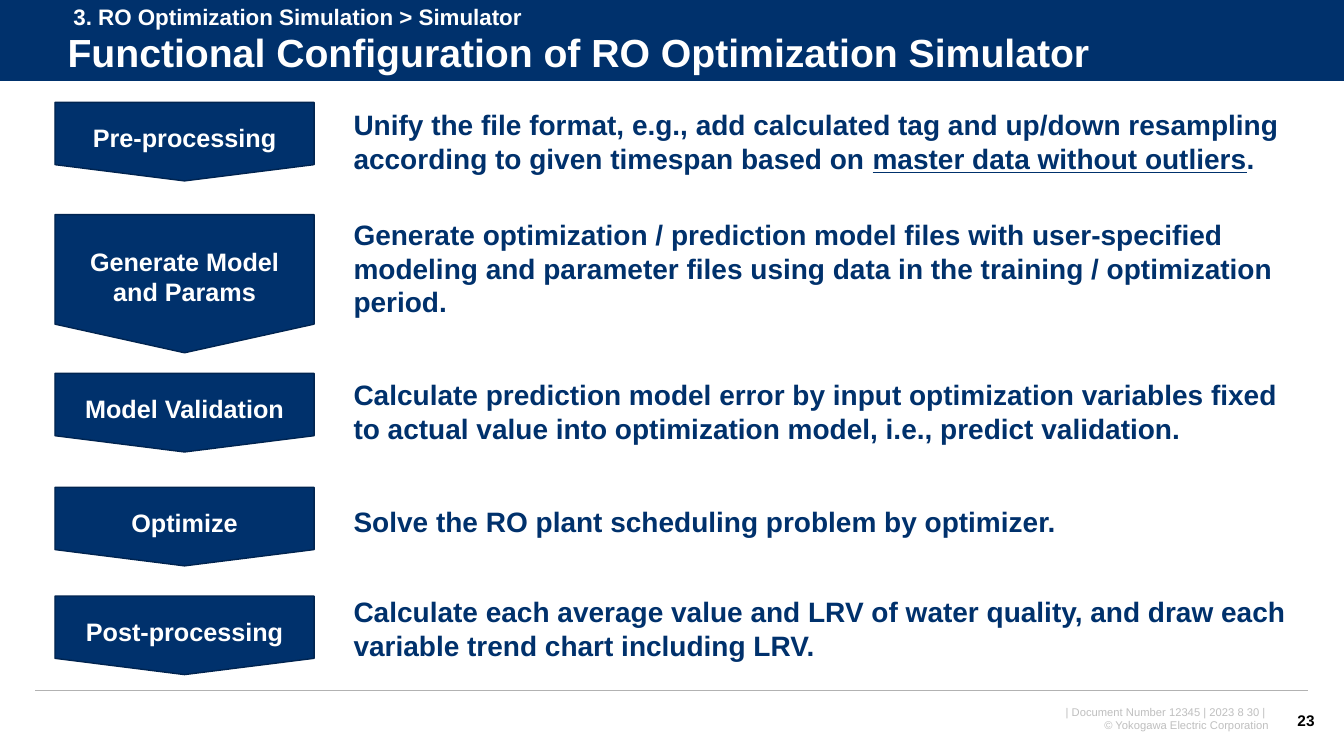
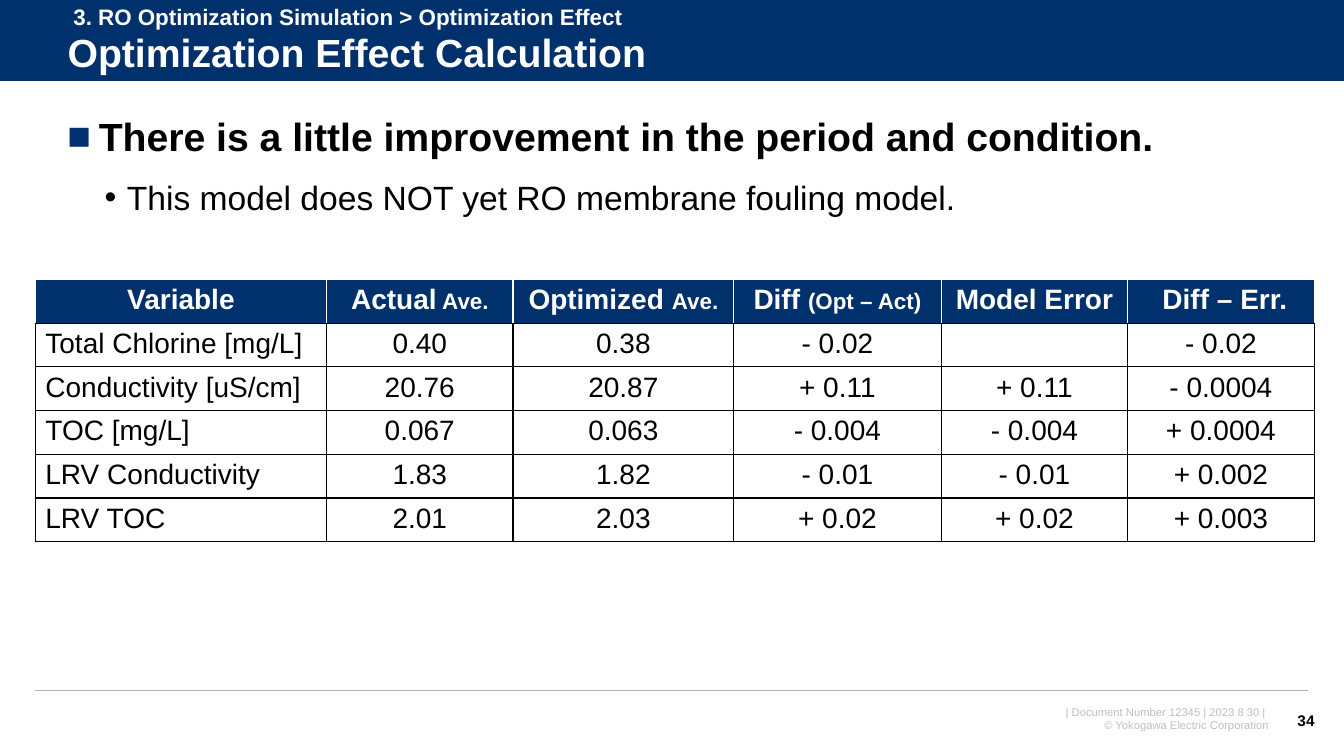
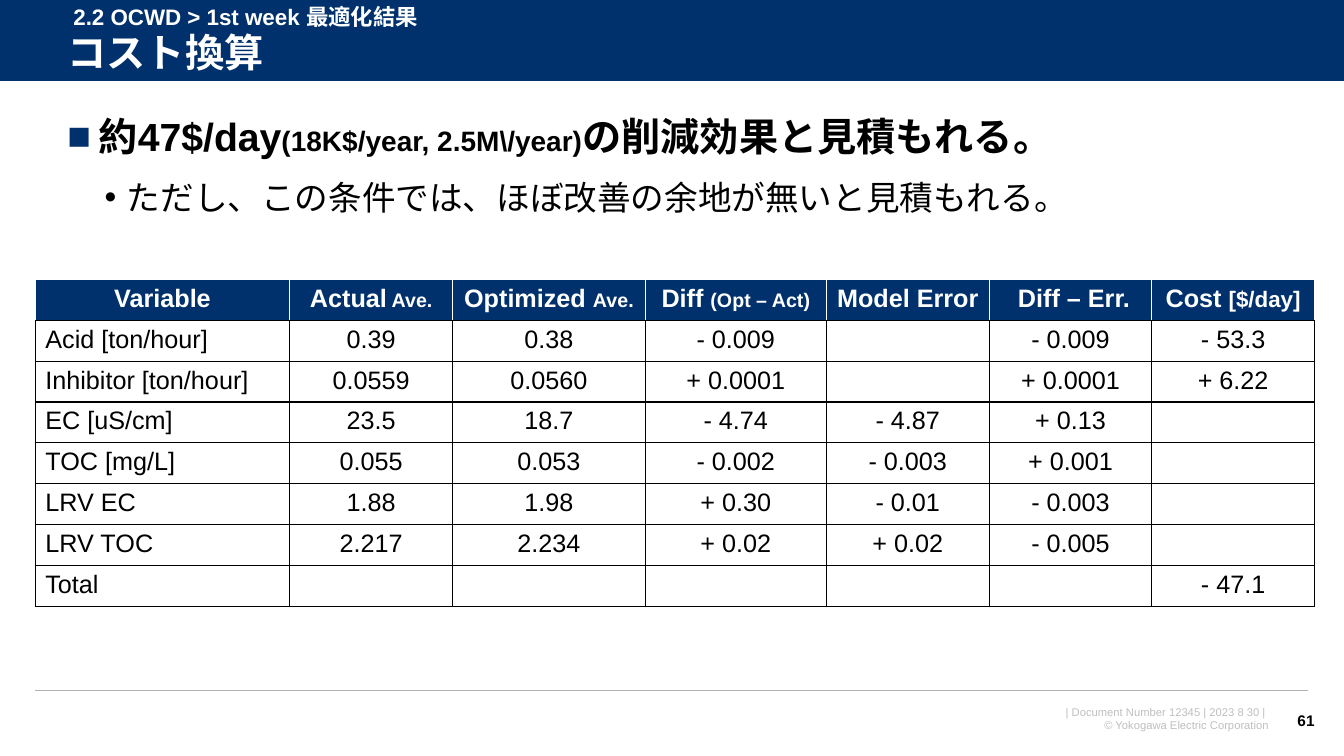
"""Builds three slides on the RO optimization simulator and its effect."""
from dataclasses import dataclass
from typing import Optional, Sequence, Union

from lxml import etree
from pptx import Presentation
from pptx.dml.color import RGBColor
from pptx.enum import shapes, text
from pptx.oxml import ns
from pptx.util import Cm, Pt

NAVY, NAVY_EDGE = "00316C", "002450"
WHITE, BLACK = "FFFFFF", "000000"
RULE_GRAY, FOOTER_GRAY = "B2B2B2", "BFBFBF"
FONT = "Arial"
WIDTH, HEIGHT = 33.87, 19.05
BAND_HEIGHT = 2.06
LEFT, CENTER, RIGHT = text.PP_ALIGN.LEFT, text.PP_ALIGN.CENTER, text.PP_ALIGN.RIGHT


@dataclass(frozen=True)
class Piece:
    """A stretch of text that may differ in size or underline."""
    words: str
    size: Optional[float] = None
    underline: bool = False


Wording = Union[str, Sequence[Piece]]


@dataclass(frozen=True)
class Style:
    """The look of a paragraph."""
    size: float
    color: str = BLACK
    bold: bool = False
    align: text.PP_ALIGN = LEFT


@dataclass(frozen=True)
class Box:
    """A place on the slide in centimetres."""
    left: float
    top: float
    width: float
    height: float

    def lengths(self) -> tuple:
        """Return the four lengths in the order python-pptx takes them."""
        return Cm(self.left), Cm(self.top), Cm(self.width), Cm(self.height)


@dataclass(frozen=True)
class Heading:
    """The band texts and page number of a slide."""
    trail: str
    title: str
    page: int


@dataclass(frozen=True)
class Step:
    """One stage of the simulator with its explanation."""
    label: str
    middle: float
    thickness: float
    detail: Wording
    detail_top: float
    detail_height: float


@dataclass(frozen=True)
class Bullet:
    """A bullet level."""
    mark: str
    indent: float
    hanging: float
    style: Style
    color: str = BLACK
    line_spacing: float = 1.0
    space_before: float = 0


@dataclass(frozen=True)
class Results:
    """A table of results."""
    size: float
    row_height: float
    widths: Sequence[float]
    header: Sequence[Wording]
    rows: Sequence[Sequence[str]]


CLAIM = Bullet("■", 0.79, 0.79, Style(28, bold=True), NAVY, 0.9)
REMARK = Bullet("•", 1.5, 0.56, Style(24), space_before=12)
TITLE_STYLE = Style(28, WHITE, True)
TRAIL_STYLE = Style(16, WHITE, True)
PAGE_STYLE = Style(11, BLACK, True, RIGHT)
FOOTER_STYLE = Style(8, FOOTER_GRAY, align=RIGHT)
STEP_STYLE = Style(18, WHITE, True, CENTER)
DETAIL_STYLE = Style(20, NAVY, True)

STEPS = (
    Step("Pre-processing", 3.57, 1.98, (
        Piece("Unify the file format, e.g., add calculated tag and up/down resampling "
              "according to given timespan based on "),
        Piece("master data without outliers", underline=True),
        Piece(".")), 2.59, 1.96),
    Step("Generate Model and Params", 7.15, 3.48,
         "Generate optimization / prediction model files with user-specified modeling and "
         "parameter files using data in the training / optimization period.", 5.36, 2.82),
    Step("Model Validation", 10.4, 1.98,
         "Calculate prediction model error by input optimization variables fixed to actual "
         "value into optimization model, i.e., predict validation.", 9.4, 1.96),
    Step("Optimize", 13.27, 1.98,
         "Solve the RO plant scheduling problem by optimizer.", 12.6, 1.12),
    Step("Post-processing", 16.01, 1.98,
         "Calculate each average value and LRV of water quality, and draw each variable "
         "trend chart including LRV.", 14.86, 1.96),
)


def common_header(small: float) -> tuple:
    """Return the column heads both tables share."""
    return (
        "Variable",
        (Piece("Actual"), Piece(" Ave.", small)),
        (Piece("Optimized "), Piece("Ave.", small)),
        (Piece("Diff "), Piece("(Opt – Act)", small)),
        "Model Error",
        " Diff – Err.",
    )


EFFECT = Results(
    20, 1.1, (7.34, 4.7, 5.56, 5.23, 4.7, 4.7), common_header(16), (
        ("Total Chlorine [mg/L]", "0.40", "0.38", "- 0.02", "", "- 0.02"),
        ("Conductivity [uS/cm]", "20.76", "20.87", "+ 0.11", "+ 0.11", "- 0.0004"),
        ("TOC [mg/L]", "0.067", "0.063", "- 0.004", "- 0.004", "+ 0.0004"),
        ("LRV Conductivity", "1.83", "1.82", "- 0.01", "- 0.01", "+ 0.002"),
        ("LRV TOC", "2.01", "2.03", "+ 0.02", "+ 0.02", "+ 0.003"),
    ))

COST = Results(
    18, 1.03, (6.41, 4.11, 4.85, 4.57, 4.1, 4.1, 4.1),
    common_header(14) + ((Piece("Cost "), Piece("[$/day]", 16)),), (
        ("Acid [ton/hour]", "0.39", "0.38", "- 0.009", "", "- 0.009", "- 53.3"),
        ("Inhibitor [ton/hour]", "0.0559", "0.0560", "+ 0.0001", "", "+ 0.0001", "+ 6.22"),
        ("EC [uS/cm]", "23.5", "18.7", "- 4.74", "- 4.87", "+ 0.13", ""),
        ("TOC [mg/L]", "0.055", "0.053", "- 0.002", "- 0.003", "+ 0.001", ""),
        ("LRV EC", "1.88", "1.98", "+ 0.30", "- 0.01", "- 0.003", ""),
        ("LRV TOC", "2.217", "2.234", "+ 0.02", "+ 0.02", "- 0.005", ""),
        ("Total", "", "", "", "", "", "- 47.1"),
    ))


def rgb(color: str) -> RGBColor:
    """Turn a hex string into a colour."""
    return RGBColor.from_string(color)


def write(paragraph, wording: Wording, style: Style) -> None:
    """Fill a paragraph and format its runs."""
    pieces = (Piece(wording),) if isinstance(wording, str) else wording
    paragraph.alignment = style.align
    paragraph.text = pieces[0].words
    for piece in pieces[1:]:
        paragraph.add_run().text = piece.words
    for run, piece in zip(paragraph.runs, pieces):
        font = run.font
        font.name = FONT
        font.size = Pt(piece.size or style.size)
        font.bold = style.bold
        font.color.rgb = rgb(style.color)
        if piece.underline:
            font.underline = True


def add_text(slide, box: Box, lines: Sequence[Wording], style: Style,
             anchor: text.MSO_ANCHOR = text.MSO_ANCHOR.TOP):
    """Add a wrapping text box with one paragraph per line."""
    area = slide.shapes.add_textbox(*box.lengths())
    frame = area.text_frame
    frame.word_wrap = True
    frame.vertical_anchor = anchor
    for index, line in enumerate(lines):
        write(frame.add_paragraph() if index else frame.paragraphs[0], line, style)
    return area


def add_rule(slide, left: float, right: float, top: float, color: str, weight: float):
    """Add a horizontal line without shadow."""
    rule = slide.shapes.add_connector(
        shapes.MSO_CONNECTOR.STRAIGHT, Cm(left), Cm(top), Cm(right), Cm(top))
    rule.line.color.rgb = rgb(color)
    rule.line.width = Pt(weight)
    etree.SubElement(rule.element.spPr, ns.qn("a:effectLst"))
    return rule


def add_solid(slide, kind: shapes.MSO_SHAPE, box: Box, fill: str):
    """Add a flat preset shape."""
    solid = slide.shapes.add_shape(kind, *box.lengths())
    solid.shadow.inherit = False
    solid.fill.solid()
    solid.fill.fore_color.rgb = rgb(fill)
    solid.line.fill.background()
    return solid


def furnish_layout(layout, slide) -> None:
    """Draw the band, rules and footer once and hand them to the layout."""
    furniture = (
        add_solid(slide, shapes.MSO_SHAPE.RECTANGLE, Box(0, 0, WIDTH, BAND_HEIGHT), NAVY),
        add_rule(slide, 0, WIDTH, BAND_HEIGHT, WHITE, 0.75),
        add_rule(slide, 0.89, 32.97, 17.4, RULE_GRAY, 1),
        add_text(slide, Box(24.08, 17.65, 8.15, 0.94),
                 ("| Document Number 12345 | 2023 8 30 | ", "© Yokogawa Electric Corporation"),
                 FOOTER_STYLE),
    )
    for part in furniture:
        layout.shapes.element.append(part.element)


def add_heading(slide, heading: Heading) -> None:
    """Set the title, the trail above it and the page number."""
    title = slide.shapes.title
    title.left, title.top, title.width, title.height = Box(1.45, 0.66, 31.67, 1.45).lengths()
    frame = title.text_frame
    frame.auto_size = text.MSO_AUTO_SIZE.NONE
    frame.vertical_anchor = text.MSO_ANCHOR.MIDDLE
    write(frame.paragraphs[0], heading.title, TITLE_STYLE)
    frame.paragraphs[0].line_spacing = 0.9
    add_text(slide, Box(1.6, -0.05, 18.3, 0.94), (heading.trail,), TRAIL_STYLE)
    add_text(slide, Box(32.26, 17.65, 1.12, 1.02), (str(heading.page),), PAGE_STYLE,
             text.MSO_ANCHOR.MIDDLE)


def add_step(slide, step: Step) -> None:
    """Add a downward pentagon and the explanation beside it."""
    center, length = 4.65, 6.53
    box = Box(center - step.thickness / 2, step.middle - length / 2, step.thickness, length)
    arrow = add_solid(slide, shapes.MSO_SHAPE.PENTAGON, box, NAVY)
    arrow.rotation = 90
    arrow.adjustments[0] = 0.207
    arrow.line.color.rgb = rgb(NAVY_EDGE)
    arrow.line.width = Pt(1)
    frame = arrow.text_frame
    frame.word_wrap = True
    frame.vertical_anchor = text.MSO_ANCHOR.MIDDLE
    frame._txBody.bodyPr.set("vert", "vert270")
    write(frame.paragraphs[0], step.label, STEP_STYLE)
    add_text(slide, Box(8.66, step.detail_top, 24.46, step.detail_height),
             (step.detail,), DETAIL_STYLE)


def set_bullet(paragraph, bullet: Bullet) -> None:
    """Give a paragraph its mark, indent and spacing."""
    properties = paragraph._p.get_or_add_pPr()
    properties.set("marL", str(Cm(bullet.indent)))
    properties.set("indent", str(-Cm(bullet.hanging)))
    tint = etree.SubElement(properties, ns.qn("a:buClr"))
    etree.SubElement(tint, ns.qn("a:srgbClr")).set("val", bullet.color)
    etree.SubElement(properties, ns.qn("a:buFont")).set("typeface", FONT)
    etree.SubElement(properties, ns.qn("a:buChar")).set("char", bullet.mark)
    paragraph.line_spacing = bullet.line_spacing
    if bullet.space_before:
        paragraph.space_before = Pt(bullet.space_before)


def add_message(slide, claim: Wording, remark: str) -> None:
    """Add the claim with its remark below."""
    area = add_text(slide, Box(1.45, 2.84, 31.93, 1.52), (claim, remark), CLAIM.style)
    first, second = area.text_frame.paragraphs
    set_bullet(first, CLAIM)
    second.level = 1
    set_bullet(second, REMARK)
    write(second, remark, REMARK.style)


def set_borders(cell, color: str) -> None:
    """Draw cell borders, keeping the bottom one black."""
    properties = cell._tc.get_or_add_tcPr()
    for side in ("lnL", "lnR", "lnT", "lnB"):
        border = etree.SubElement(properties, ns.qn(f"a:{side}"))
        border.set("w", str(Pt(1)))
        paint = etree.SubElement(border, ns.qn("a:solidFill"))
        etree.SubElement(paint, ns.qn("a:srgbClr")).set("val", BLACK if side == "lnB" else color)


def add_results(slide, results: Results) -> None:
    """Add a table with a navy header and white body."""
    lines = (results.header, *results.rows)
    box = Box(0.89, 7.04, sum(results.widths), results.row_height * len(lines))
    table = slide.shapes.add_table(len(lines), len(results.widths), *box.lengths()).table
    for column, width in zip(table.columns, results.widths):
        column.width = Cm(width)
    for row, line in enumerate(lines):
        table.rows[row].height = Cm(results.row_height)
        head = row == 0
        for column, wording in enumerate(line):
            cell = table.cell(row, column)
            set_borders(cell, WHITE if head else BLACK)
            cell.fill.solid()
            cell.fill.fore_color.rgb = rgb(NAVY if head else WHITE)
            if wording:
                align = CENTER if head or column else LEFT
                style = Style(results.size, WHITE if head else BLACK, head, align)
                write(cell.text_frame.paragraphs[0], wording, style)


def main() -> None:
    """Build and save the slides."""
    deck = Presentation()
    deck.slide_width, deck.slide_height = Cm(WIDTH), Cm(HEIGHT)
    layout = deck.slide_layouts[5]
    functions, effect, cost = (deck.slides.add_slide(layout) for _ in range(3))
    furnish_layout(layout, functions)

    add_heading(functions, Heading("3. RO Optimization Simulation > Simulator",
                                   "Functional Configuration of RO Optimization Simulator", 23))
    for step in STEPS:
        add_step(functions, step)

    add_heading(effect, Heading("3. RO Optimization Simulation > Optimization Effect",
                                "Optimization Effect Calculation", 34))
    add_message(effect, "There is a little improvement in the period and condition.",
                "This model does NOT yet RO membrane fouling model.")
    add_results(effect, EFFECT)

    add_heading(cost, Heading("2.2 OCWD > 1st week 最適化結果", "コスト換算", 61))
    add_message(cost, (Piece("約47$/day"), Piece("(18K$/year, 2.5M\\/year)", 20),
                       Piece("の削減効果と見積もれる。")),
                "ただし、この条件では、ほぼ改善の余地が無いと見積もれる。")
    add_results(cost, COST)
    deck.save("out.pptx")


if __name__ == "__main__":
    main()
